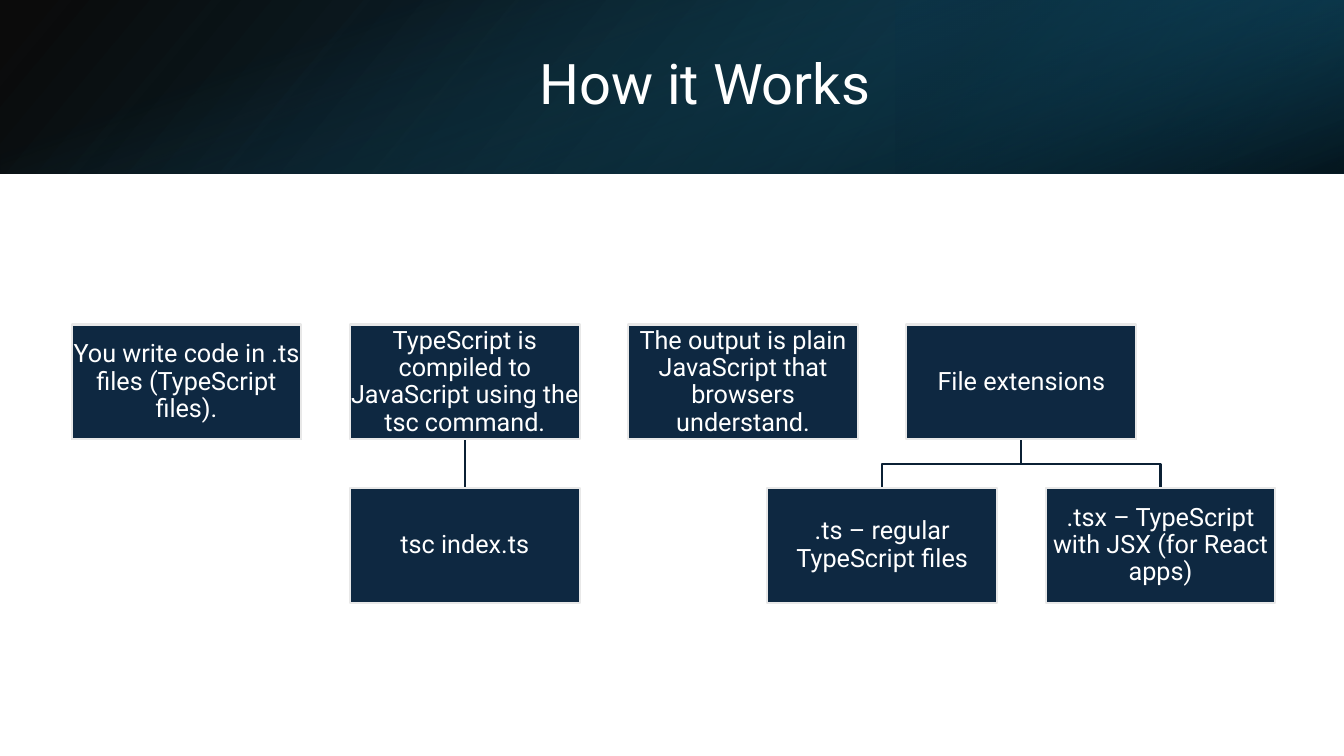
from lxml.etree import SubElement
from pptx import Presentation
from pptx.dml.color import RGBColor as Rgb
from pptx.enum.shapes import MSO_CONNECTOR as Conn, MSO_SHAPE as Kind
from pptx.enum.text import MSO_ANCHOR as Anchor, PP_ALIGN as Align
from pptx.oxml.ns import qn
from pptx.util import Inches, Pt

COLORS = {
    "black": "000000", "white": "FFFFFF", "teal": "104862", "deep": "0B3041",
    "blue": "156082", "navy": "0E2841", "line": "0B2034", "edge": "E8E8E8",
}
FONT = "Roboto"
WIDE, HIGH = 13.33, 7.5
HEAD = 1.72  # banner height

# Each step with its child boxes
STEPS = [
    ("You write code in .ts files (TypeScript files).", []),
    ("TypeScript is compiled to JavaScript using the tsc command.", ["tsc index.ts"]),
    ("The output is plain JavaScript that browsers understand.", []),
    ("File extensions", [".ts – regular TypeScript files",
                         ".tsx – TypeScript with JSX (for React apps)"]),
]


def color(name):
    return Rgb.from_string(COLORS[name])


def write(shape, text, size=18, inset=0.01):
    frame = shape.text_frame
    frame.word_wrap = True
    frame.vertical_anchor = Anchor.MIDDLE
    frame.margin_left = frame.margin_right = Inches(inset)
    frame.margin_top = frame.margin_bottom = Inches(min(inset, 0.05))
    para = frame.paragraphs[0]
    para.alignment = Align.CENTER
    para.line_spacing = 0.9
    run = para.add_run()
    run.text = text
    run.font.size = Pt(size)
    run.font.name = FONT
    run.font.color.rgb = color("white")


def rect(slide, box):
    shape = slide.shapes.add_shape(Kind.RECTANGLE, *map(Inches, box))
    shape.shadow.inherit = False
    return shape


def shade(slide, box, stops, angle, turn=0, flip=False):
    """Rectangle with a gradient; stops are (position, color, opacity)."""
    shape = rect(slide, box)
    shape.line.fill.background()
    shape.rotation = turn
    if flip:
        shape._element.spPr.xfrm.set("flipH", "1")
    shape.fill.gradient()
    shape.fill.gradient_angle = 360 - angle
    for stop, (pos, name, alpha) in zip(shape.fill.gradient_stops, stops):
        stop.position = pos / 100
        stop.color.rgb = color(name)
    tones = shape._element.spPr.iter(qn("a:srgbClr"))
    for tone, (pos, name, alpha) in zip(list(tones), stops):
        SubElement(tone, qn("a:alpha")).set("val", str(alpha * 1000))


def banner(slide, left, top, width, height):
    shade(slide, (left, top, width, height),
          [(0, "black", 96), (100, "teal", 100)], 140, flip=True)
    third = width / 3
    shade(slide, (left + width - third, top, third, height),
          [(19, "deep", 68), (100, "blue", 79)], 320, turn=180, flip=True)
    # A tall strip, turned on its side to cover the banner
    shift = (width - height) / 2
    shade(slide, (left + shift, top - shift, height, width),
          [(23, "blue", 0), (99, "black", 74)], 340, turn=90)
    title = slide.shapes.add_textbox(
        Inches(left + 1.5), Inches(top + 0.38), Inches(10.98), Inches(0.96))
    write(title, "How it Works", size=40, inset=0.1)


def node(slide, box, text):
    shape = rect(slide, box)
    shape.fill.solid()
    shape.fill.fore_color.rgb = color("navy")
    shape.line.color.rgb = color("edge")
    shape.line.width = Pt(1.5)
    write(shape, text)
    return shape


def link(slide, top, low):
    """Line from the bottom of one box to the top of another."""
    x1, y1 = top.left + top.width // 2, top.top + top.height
    x2, y2 = low.left + low.width // 2, low.top
    if abs(x1 - x2) < Inches(0.01):
        line = slide.shapes.add_connector(Conn.STRAIGHT, x1, y1, x2, y2)
        line.begin_connect(top, 2)
        line.end_connect(low, 0)
        SubElement(line._element.spPr, qn("a:effectLst"))
    else:
        mid = (y1 + y2) // 2
        path = slide.shapes.build_freeform(x1, y1)
        path.add_line_segments([(x1, mid), (x2, mid), (x2, y2)], close=False)
        line = path.convert_to_shape()
        line.fill.background()
        line.shadow.inherit = False
    line.line.color.rgb = color("line")
    line.line.width = Pt(1.5)
    # Keep lines behind the boxes
    slide.shapes._spTree.insert(2, line._element)


def tree(slide, left, top, width, height):
    wide, high = 2.28, 1.14
    step = (width - wide) / 3.5
    low = top + height - high
    for col, (text, kids) in enumerate(STEPS):
        head = node(slide, (left + col * step, top, wide, high), text)
        first = col - (len(kids) - 1) / 2
        for num, kid in enumerate(kids):
            child = node(slide, (left + (first + num) * step, low, wide, high), kid)
            link(slide, head, child)


def main():
    deck = Presentation()
    deck.slide_width, deck.slide_height = Inches(WIDE), Inches(HIGH)
    slide = deck.slides.add_slide(deck.slide_layouts[6])
    banner(slide, 0, 0, WIDE, HEAD)
    tree(slide, 0.71, 3.22, 11.94, 2.76)
    deck.save("out.pptx")


if __name__ == "__main__":
    main()
